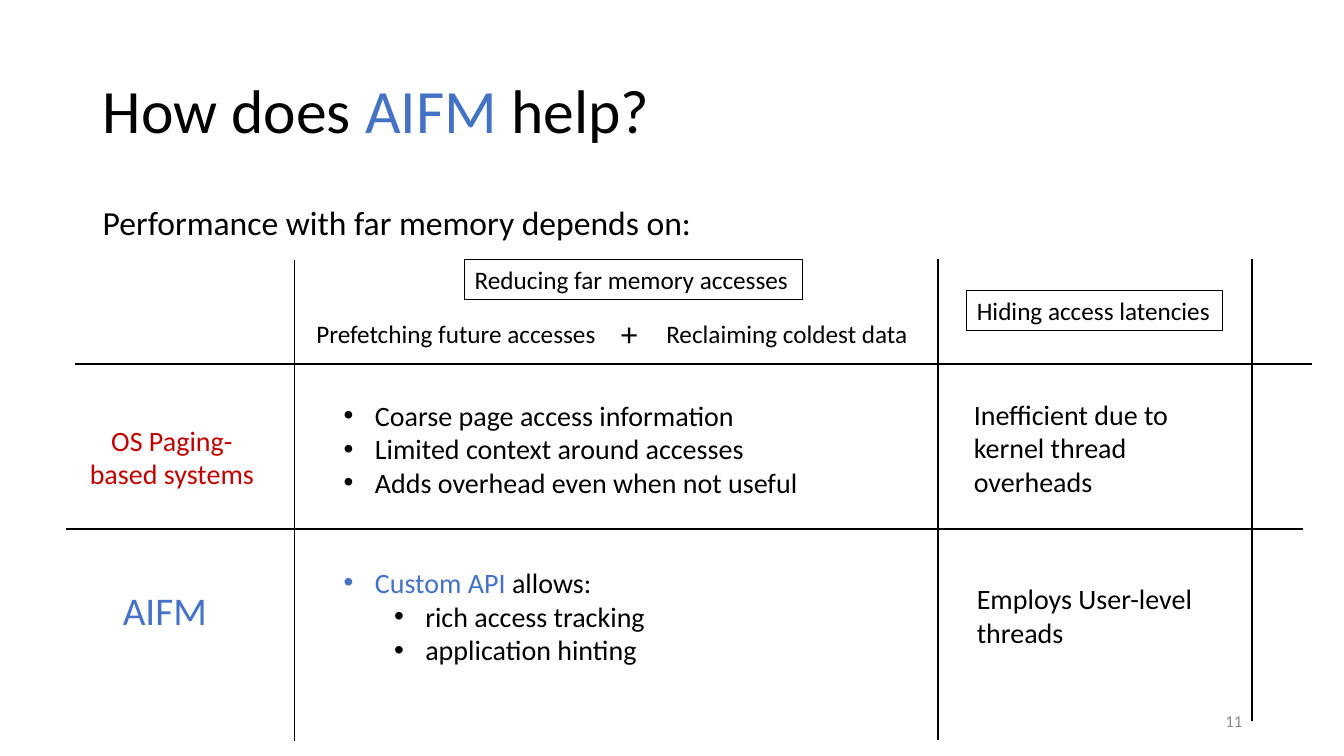
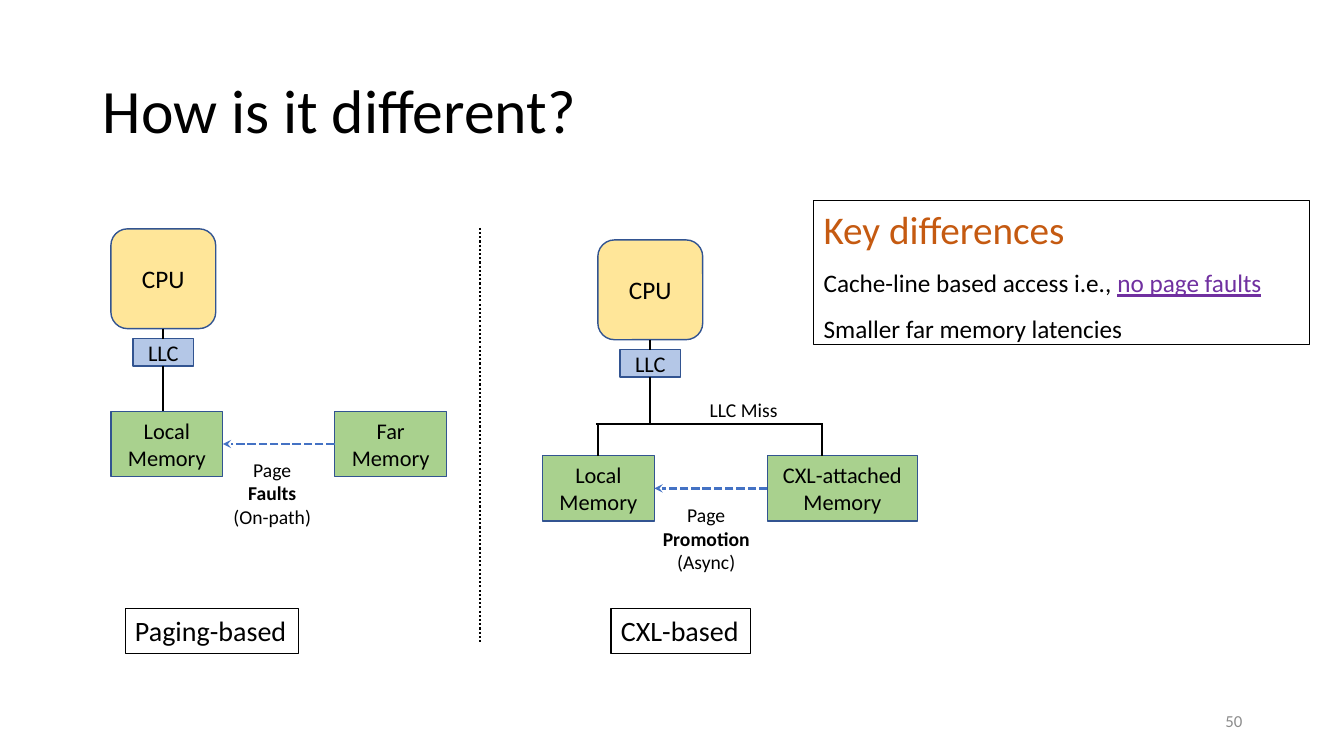
import dataclasses
import typing

import lxml.etree
import pptx
import pptx.dml.color
import pptx.enum.dml
import pptx.enum.shapes
import pptx.enum.text
import pptx.oxml.ns
import pptx.util

SHAPE = pptx.enum.shapes.MSO_SHAPE
DASH = pptx.enum.dml.MSO_LINE
ANCHOR = pptx.enum.text.MSO_ANCHOR
ALIGN = pptx.enum.text.PP_ALIGN
EMU_PER_PX = 9144
BOTTOM, TOP, LEFT, RIGHT = 2, 0, 1, 3


@dataclasses.dataclass(frozen=True)
class Theme:
    font: str = "Calibri"
    ink: str = "000000"
    muted: str = "8C8C8C"
    blue: str = "4472C4"
    red: str = "C00000"
    orange: str = "C55A11"
    purple: str = "7030A0"
    edge: str = "325491"
    cpu: str = "FFE699"
    cache: str = "B4C7E7"
    memory: str = "A9D18E"
    title: int = 44
    heading: int = 28
    lead: int = 24
    body: int = 20
    label: int = 18
    node: int = 16
    note: int = 14
    footer: int = 12


class Para(typing.NamedTuple):
    runs: list
    level: typing.Optional[int] = None
    spacing: typing.Optional[float] = None


T = Theme()
SLIDE_SIZE = (1333, 750)
TITLE_BOX = (92, 40, 1150, 145)
NUMBER_BOX = (942, 695, 300, 40)

HELP_TITLE = ["How does ", ("AIFM", {"color": T.blue}), " help?"]
HELP_TEXTS = [
    (["Performance with far memory depends on:"], (92, 195, 609, 50), dict(size=T.lead, wrap=False)),
    (["Reducing far memory accesses"], (461, 257, 335, 40), dict(size=T.label, wrap=False, line=T.ink)),
    (["Hiding access latencies"], (959, 288, 254, 40), dict(size=T.label, wrap=False, line=T.ink)),
    (["Prefetching future accesses"], (304, 311, 300, 40), dict(size=T.label, wrap=False)),
    (["+"], (606, 306, 37, 50), dict(size=T.lead, wrap=False)),
    (["Reclaiming coldest data"], (651, 311, 262, 40), dict(size=T.label, wrap=False)),
    (["OS Paging-based systems"], (74, 415, 193, 77), dict(color=T.red, align=ALIGN.CENTER)),
    ([Para(["Coarse page access information"], 0),
      Para(["Limited context around accesses"], 0),
      Para(["Adds overhead even when not useful"], 0)], (331, 390, 555, 111), {}),
    (["Inefficient due to kernel thread overheads"], (956, 389, 257, 111), {}),
    (["AIFM"], (67, 577, 193, 57), dict(size=T.heading, color=T.blue, align=ALIGN.CENTER)),
    ([Para([("Custom API ", {"color": T.blue}), "allows:"], 0),
      Para(["rich access tracking"], 1),
      Para(["application hinting"], 1)], (331, 556, 555, 111), {}),
    (["Employs User-level threads"], (959, 572, 257, 77), {}),
]
HELP_RULES = [
    ((292, 258), (292, 735)),
    ((930, 257), (930, 734)),
    ((1242, 257), (1242, 715)),
    ((74, 361), (1301, 361)),
    ((65, 525), (1292, 525)),
]

CPU_SIZE = (104, 99)
CACHE_SIZE = (60, 27)
CACHE_GAP = 10
MEMORY_SIZE = (111, 65)
DIVIDER = ((476, 226), (476, 637))
DESIGNS = [
    dict(cpu=(110, 227), local=(110, 408), remote=(332, 408), remote_width=111,
         remote_name="Far Memory", transfer=["Page", "Faults", "(On-path)"],
         transfer_box=(221, 449, 98, 81), name="Paging-based",
         name_box=(124, 604, 172, 44), bus=None),
    dict(cpu=(593, 238), local=(538, 452), remote=(761, 452), remote_width=149,
         remote_name="CXL-attached Memory", transfer=["Page", "Promotion", "(Async)"],
         transfer_box=(647, 494, 107, 81), name="CXL-based",
         name_box=(606, 604, 138, 44),
         bus=dict(y=421, left=591, right=816, remote_drop=815,
                  label="LLC Miss", label_box=(694, 390, 88, 34))),
]
KEY_BOX = (807, 199, 492, 143)
KEY_DIFFERENCES = [
    Para([("Key differences", {"size": T.heading, "color": T.orange})]),
    Para(["Cache-line based access i.e., ",
          ("no page faults", {"color": T.purple, "underline": True})], spacing=1.5),
    Para(["Smaller far memory latencies"], spacing=1.5),
]


def px(length):
    return round(length * EMU_PER_PX)


def rgb(value):
    return pptx.dml.color.RGBColor.from_string(value)


def add_bullet(paragraph, level):
    properties = paragraph._p.get_or_add_pPr()
    properties.set("marL", str(px(31 + 50 * level)))
    properties.set("indent", str(px(-31)))
    for tag, name, value in (("a:buFont", "typeface", "Arial"), ("a:buChar", "char", "•")):
        mark = lxml.etree.SubElement(properties, pptx.oxml.ns.qn(tag))
        mark.set(name, value)


def write(slide, paragraphs, box, size=T.body, color=T.ink, align=ALIGN.LEFT,
          anchor=ANCHOR.TOP, wrap=True, kind=None, fill=None, line=None, weight=0.75):
    place = [px(length) for length in box]
    if line:
        holder = slide.shapes.add_shape(kind or SHAPE.RECTANGLE, *place)
        holder.shadow.inherit = False
        holder.line.color.rgb = rgb(line)
        holder.line.width = pptx.util.Pt(weight)
        if fill:
            holder.fill.solid()
            holder.fill.fore_color.rgb = rgb(fill)
        else:
            holder.fill.background()
    else:
        holder = slide.shapes.add_textbox(*place)
    frame = holder.text_frame
    frame.word_wrap = wrap
    frame.vertical_anchor = anchor
    for index, item in enumerate(paragraphs):
        para = item if isinstance(item, Para) else Para([item])
        paragraph = frame.add_paragraph() if index else frame.paragraphs[0]
        paragraph.alignment = align
        if para.spacing:
            paragraph.line_spacing = para.spacing
        if para.level is not None:
            add_bullet(paragraph, para.level)
        for piece in para.runs:
            words, style = (piece, {}) if isinstance(piece, str) else piece
            run = paragraph.add_run()
            run.text = words
            run.font.name = T.font
            run.font.size = pptx.util.Pt(style.get("size", size))
            run.font.color.rgb = rgb(style.get("color", color))
            run.font.bold = style.get("bold", False)
            run.font.underline = style.get("underline", False)
    return holder


def link(slide, start, end, color=T.ink, weight=1.5, dash=None, arrow=False):
    joins = [not isinstance(point[0], (int, float)) for point in (start, end)]
    points = [(0, 0) if joined else point for joined, point in zip(joins, (start, end))]
    connector = slide.shapes.add_connector(
        pptx.enum.shapes.MSO_CONNECTOR.STRAIGHT,
        *(px(length) for point in points for length in point))
    if joins[0]:
        connector.begin_connect(*start)
    if joins[1]:
        connector.end_connect(*end)
    connector.line.color.rgb = rgb(color)
    connector.line.width = pptx.util.Pt(weight)
    if dash:
        connector.line.dash_style = dash
    properties = connector._element.spPr
    if arrow:
        outline = properties.find(pptx.oxml.ns.qn("a:ln"))
        lxml.etree.SubElement(outline, pptx.oxml.ns.qn("a:tailEnd")).set("type", "stealth")
    lxml.etree.SubElement(properties, pptx.oxml.ns.qn("a:effectLst"))


def start_slide(deck, title, number):
    slide = deck.slides.add_slide(deck.slide_layouts[6])
    write(slide, [Para(title, spacing=0.9)], TITLE_BOX, size=T.title, anchor=ANCHOR.MIDDLE)
    write(slide, [number], NUMBER_BOX, size=T.footer, color=T.muted,
          align=ALIGN.RIGHT, anchor=ANCHOR.MIDDLE)
    return slide


def add_node(slide, name, box, fill, size=T.node, kind=SHAPE.RECTANGLE):
    return write(slide, [name], box, size=size, kind=kind, fill=fill, line=T.edge,
                 weight=1, align=ALIGN.CENTER, anchor=ANCHOR.MIDDLE)


def draw_design(slide, design):
    cpu_x, cpu_y = design["cpu"]
    axis = cpu_x + CPU_SIZE[0] / 2
    cache_y = cpu_y + CPU_SIZE[1] + CACHE_GAP
    cpu = add_node(slide, "CPU", (cpu_x, cpu_y, *CPU_SIZE), T.cpu, T.label,
                   SHAPE.ROUNDED_RECTANGLE)
    cache = add_node(slide, "LLC", (axis - CACHE_SIZE[0] / 2, cache_y, *CACHE_SIZE), T.cache)
    local = add_node(slide, "Local Memory", (*design["local"], *MEMORY_SIZE), T.memory)
    remote = add_node(slide, design["remote_name"],
                      (*design["remote"], design["remote_width"], MEMORY_SIZE[1]), T.memory)
    link(slide, (cpu, BOTTOM), (cache, TOP))
    link(slide, (remote, LEFT), (local, RIGHT), T.blue, 2, DASH.SQUARE_DOT, arrow=True)

    local_x, memory_y = design["local"]
    bus = design["bus"]
    link(slide, (cache, BOTTOM), (axis, bus["y"] if bus else memory_y))
    if bus:
        link(slide, (bus["left"], bus["y"]), (bus["right"], bus["y"]))
        link(slide, (local_x + MEMORY_SIZE[0] / 2, bus["y"]), (local, TOP))
        link(slide, (bus["remote_drop"], bus["y"]), (bus["remote_drop"], memory_y))
        write(slide, [bus["label"]], bus["label_box"], size=T.note, wrap=False)

    unit, event, path_type = design["transfer"]
    write(slide, [unit, (event, {"bold": True}), path_type], design["transfer_box"],
          size=T.note, align=ALIGN.CENTER, wrap=False)
    write(slide, [design["name"]], design["name_box"], wrap=False, line=T.ink)


def main():
    deck = pptx.Presentation()
    deck.slide_width, deck.slide_height = (px(length) for length in SLIDE_SIZE)

    helping = start_slide(deck, HELP_TITLE, "11")
    for start, end in HELP_RULES:
        link(helping, start, end, weight=1.25)
    for paragraphs, box, style in HELP_TEXTS:
        write(helping, paragraphs, box, **style)

    difference = start_slide(deck, ["How is it different?"], "50")
    for design in DESIGNS:
        draw_design(difference, design)
    link(difference, *DIVIDER, dash=DASH.ROUND_DOT)
    write(difference, KEY_DIFFERENCES, KEY_BOX, size=T.label, line=T.ink)

    deck.save("out.pptx")


if __name__ == "__main__":
    main()
